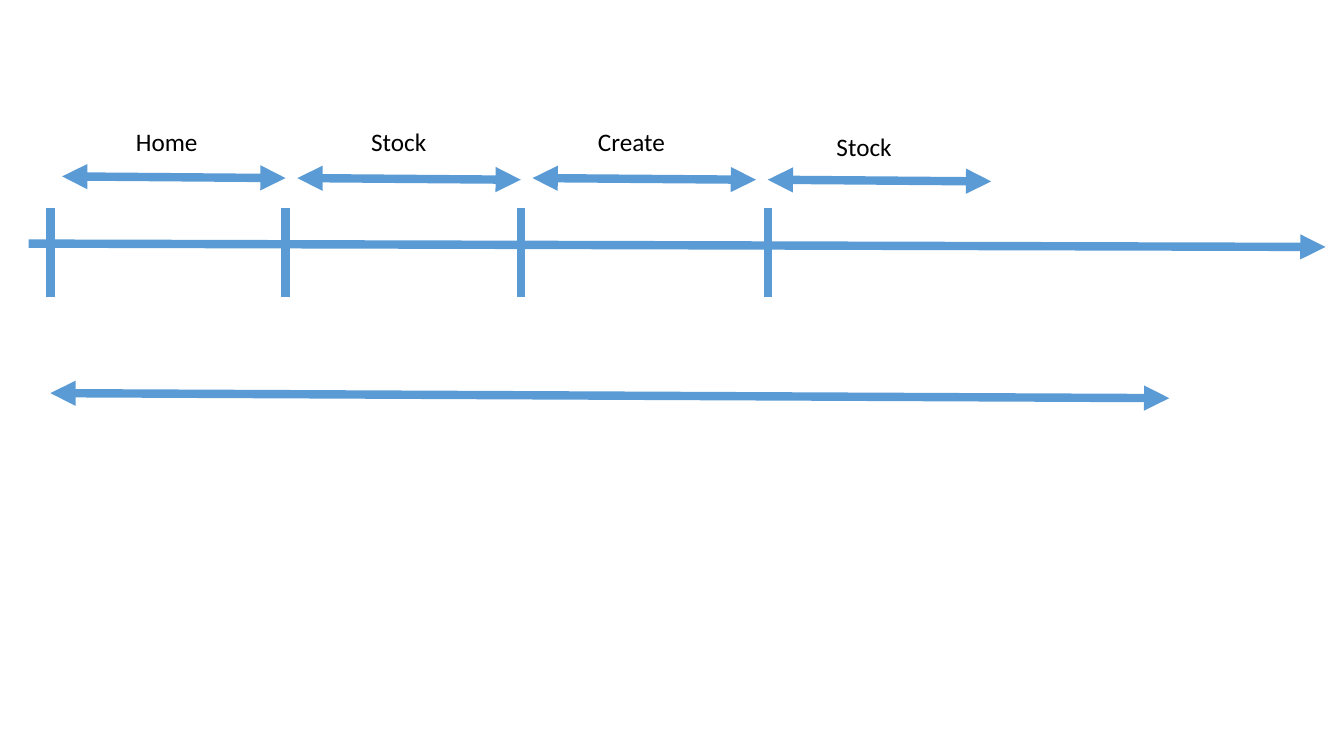
from lxml import etree
from pptx import Presentation
from pptx.dml.color import RGBColor
from pptx.enum.shapes import MSO_CONNECTOR
from pptx.enum.text import MSO_AUTO_SIZE
from pptx.oxml.ns import qn
from pptx.util import Inches, Pt

STRAIGHT = MSO_CONNECTOR.STRAIGHT
GROW = MSO_AUTO_SIZE.SHAPE_TO_FIT_TEXT
COLORS = {"line": "5B9BD5", "text": "000000"}
WIDE, HIGH = 13.33, 7.5
COLS, ROWS = 160, 90
STEP, SPAN = 28, 26.6
STAGES = [
    ("Home", 6, 21, 15, 14.4, 9.8),
    ("Stock", 34, 21.2, 43, 14.4, 9),
    ("Create", 62, 21.2, 70, 14.4, 10.4),
    ("Stock", 91.4, 21.4, 98.4, 15.1, 9),
]


def col(n):
    return Inches(n * WIDE / COLS)


def row(n):
    return Inches(n * HIGH / ROWS)


def add_line(slide, start, end, *tips):
    line = slide.shapes.add_connector(
        STRAIGHT, col(start[0]), row(start[1]), col(end[0]), row(end[1]))
    line.line.color.rgb = RGBColor.from_string(COLORS["line"])
    line.line.width = Pt(6)
    stroke = line.line._get_or_add_ln()
    for tip in tips:
        etree.SubElement(stroke, qn(f"a:{tip}"), type="triangle")
    etree.SubElement(line._element.spPr, qn("a:effectLst"))


def add_label(slide, text, left, top, width):
    box = slide.shapes.add_textbox(col(left), row(top), col(width), row(4.8))
    frame = box.text_frame
    frame.word_wrap = False
    frame.auto_size = GROW
    para = frame.paragraphs[0]
    para.text = text
    para.font.name = "Calibri"
    para.font.size = Pt(18)
    para.font.color.rgb = RGBColor.from_string(COLORS["text"])


def main():
    deck = Presentation()
    deck.slide_width, deck.slide_height = Inches(WIDE), Inches(HIGH)
    slide = deck.slides.add_slide(deck.slide_layouts[6])
    add_line(slide, (3.4, 29), (157.8, 29.4), "tailEnd")
    for i, (name, tick, level, left, top, width) in enumerate(STAGES):
        start = 7.4 + i * STEP
        add_line(slide, (tick, 24.8), (tick, 35.4))
        add_line(slide, (start, level), (start + SPAN, level + 0.2),
                 "headEnd", "tailEnd")
        add_label(slide, name, left, top, width)
    add_line(slide, (6, 46.8), (139.2, 47.4), "headEnd", "tailEnd")
    deck.save("out.pptx")


if __name__ == "__main__":
    main()
